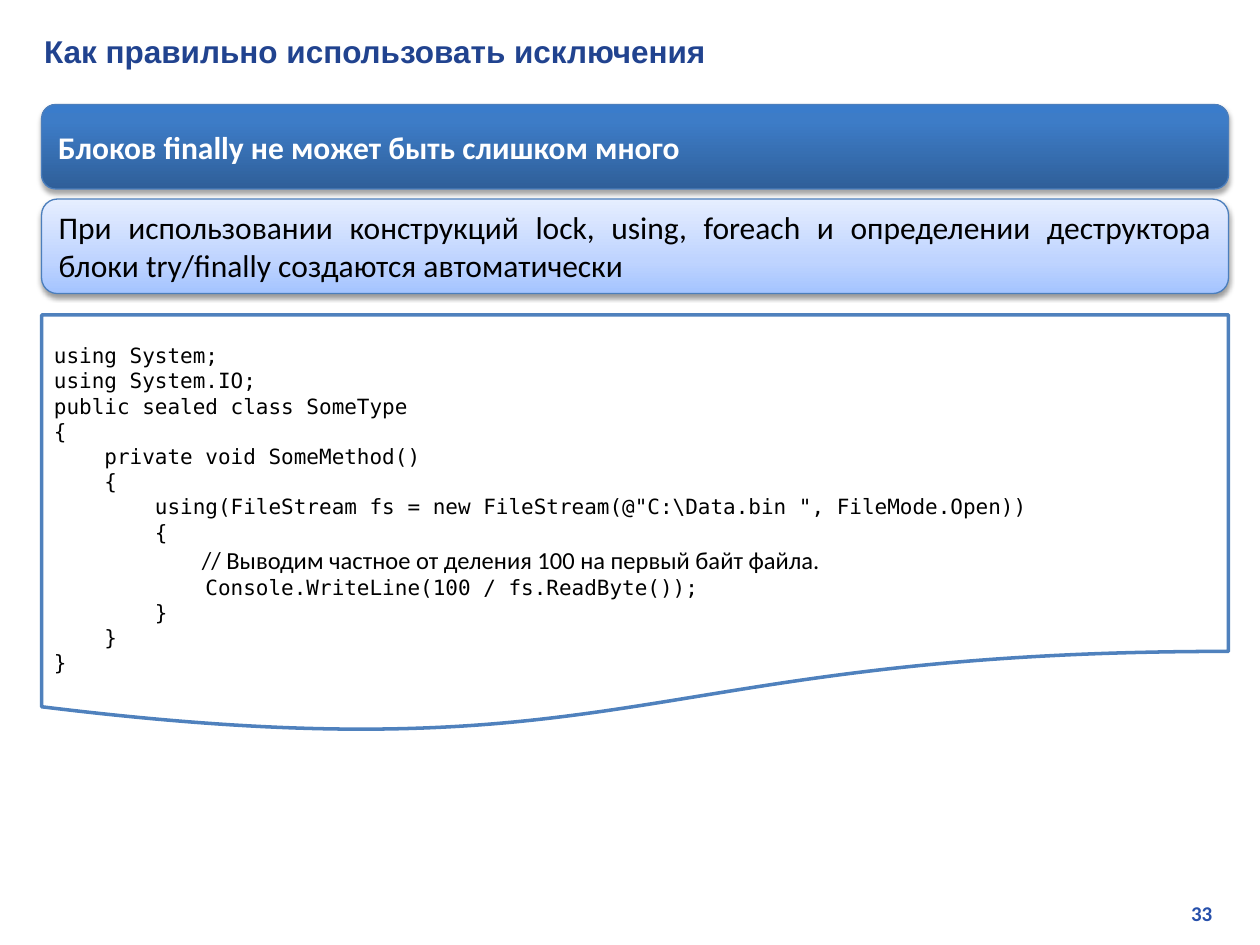
from lxml import etree
from pptx import Presentation
from pptx.dml.color import RGBColor
from pptx.enum import shapes, text
from pptx.oxml import parse_xml
from pptx.oxml.ns import nsdecls, qn
from pptx.util import Inches, Pt

TITLE_BLUE = RGBColor(0x21, 0x43, 0x8F)
NUMBER_BLUE = RGBColor(0x27, 0x50, 0xAB)
BANNER_LINE = RGBColor(0x4B, 0x7E, 0xBC)
CODE_LINE = RGBColor(0x4F, 0x81, 0xBD)
WHITE = RGBColor(0xFF, 0xFF, 0xFF)
BLACK = RGBColor(0, 0, 0)
DARK_STOPS = [
    (0, RGBColor(0x2F, 0x5F, 0x99)),
    (80, RGBColor(0x3D, 0x7C, 0xC7)),
    (100, RGBColor(0x3A, 0x7C, 0xCB)),
]
LIGHT_STOPS = [
    (0, RGBColor(0xA4, 0xC4, 0xFF)),
    (35, RGBColor(0xBF, 0xD4, 0xFF)),
    (100, RGBColor(0xE6, 0xEE, 0xFF)),
]

LEFT, WIDTH = 0.33, 9.42
MONO = "DejaVu Sans Mono"
COMMENT_INDENT = " " * 10
COMMENT = "// Выводим частное от деления 100 на первый байт файла."
CODE_BEFORE = r"""using System;
using System.IO;
public sealed class SomeType
{
    private void SomeMethod()
    {
        using(FileStream fs = new FileStream(@"C:\Data.bin ", FileMode.Open))
        {"""
CODE_AFTER = """            Console.WriteLine(100 / fs.ReadByte());
        }
    }
}"""


class SlideBuilder:
    """Hold the text styles and the current slide, and add its elements."""

    def __init__(self, slide):
        self.slide = slide
        self.styles = {
            "title": {"name": "Arial", "size": Pt(18), "bold": True, "color": TITLE_BLUE},
            "banner": {"name": "Calibri", "size": Pt(18), "bold": True, "color": WHITE},
            "body": {"name": "Calibri", "size": Pt(18), "bold": False, "color": BLACK},
            "code": {"name": MONO, "size": Pt(12), "color": BLACK},
            "indent": {"name": MONO, "size": Pt(14), "color": BLACK},
            "comment": {"name": "Calibri", "size": Pt(14), "color": BLACK},
            "number": {"name": "Calibri", "size": Pt(12), "bold": True, "color": NUMBER_BLUE},
        }

    def add_run(self, paragraph, content, style):
        run = paragraph.add_run()
        run.text = content
        for key, value in self.styles[style].items():
            if key == "color":
                run.font.color.rgb = value
            else:
                setattr(run.font, key, value)

    def set_text(self, shape, content, style, alignment=text.PP_ALIGN.LEFT):
        frame = shape.text_frame
        frame.word_wrap = True
        frame.vertical_anchor = text.MSO_ANCHOR.MIDDLE
        paragraph = frame.paragraphs[0]
        paragraph.alignment = alignment
        self.add_run(paragraph, content, style)

    def title(self, content, left, top, width, height):
        shape = self.slide.shapes.title
        box = {"left": left, "top": top, "width": width, "height": height}
        for key, value in box.items():
            setattr(shape, key, Inches(value))
        self.set_text(shape, content, "title")

    def label(self, content, style, alignment, *box):
        shape = self.slide.shapes.add_textbox(*map(Inches, box))
        self.set_text(shape, content, style, alignment)

    def outlined(self, kind, top, height, color, weight):
        shape = self.slide.shapes.add_shape(
            kind, Inches(LEFT), Inches(top), Inches(WIDTH), Inches(height))
        shape.shadow.inherit = False
        shape.line.color.rgb = color
        shape.line.width = Pt(weight)
        return shape

    def banner(self, content, style, alignment, top, height, stops, shadow):
        shape = self.outlined(
            shapes.MSO_SHAPE.ROUNDED_RECTANGLE, top, height, BANNER_LINE, 0.75)
        stop_xml = "".join(
            f'<a:gs pos="{position * 1000}"><a:srgbClr val="{color}"/></a:gs>'
            for position, color in stops)
        properties = shape.element.spPr
        properties.find(qn("a:prstGeom")).addnext(parse_xml(
            f'<a:gradFill {nsdecls("a")} rotWithShape="1"><a:gsLst>{stop_xml}</a:gsLst>'
            '<a:lin ang="16200000" scaled="0"/></a:gradFill>'))
        alpha, distance = shadow
        outer = etree.SubElement(
            properties.find(qn("a:effectLst")), qn("a:outerShdw"),
            blurRad=str(int(Pt(3.1))), dist=str(int(Pt(distance))),
            dir="5400000", rotWithShape="0")
        color = etree.SubElement(outer, qn("a:srgbClr"), val=str(BLACK))
        etree.SubElement(color, qn("a:alpha"), val=str(alpha * 1000))
        self.set_text(shape, content, style, alignment)

    def code(self, lines, top, height):
        shape = self.outlined(
            shapes.MSO_SHAPE.FLOWCHART_DOCUMENT, top, height, CODE_LINE, 2)
        shape.fill.solid()
        shape.fill.fore_color.rgb = WHITE
        frame = shape.text_frame
        frame.word_wrap = True
        frame.vertical_anchor = text.MSO_ANCHOR.TOP
        frame.margin_top = Inches(0.22)
        for index, runs in enumerate(lines):
            paragraph = frame.add_paragraph() if index else frame.paragraphs[0]
            paragraph.alignment = text.PP_ALIGN.LEFT
            paragraph.line_spacing = Pt(14.4 if len(runs) == 1 else 17)
            for content, style in runs:
                self.add_run(paragraph, content, style)


def main():
    """Build the slide and save it."""
    presentation = Presentation()
    presentation.slide_width, presentation.slide_height = Inches(10), Inches(7.5)
    builder = SlideBuilder(presentation.slides.add_slide(presentation.slide_layouts[5]))
    align = text.PP_ALIGN
    builder.label("33", "number", align.RIGHT, 7.6, 7.1, 2.12, 0.3)
    builder.title("Как правильно использовать исключения", 0.25, 0.2, 9.54, 0.4)
    builder.banner("Блоков finally не может быть слишком много", "banner",
                   align.LEFT, 0.83, 0.67, DARK_STOPS, (35, 1.8))
    builder.banner("При использовании конструкций lock, using, foreach и определении "
                   "деструктора блоки try/finally создаются автоматически", "body",
                   align.JUSTIFY, 1.58, 0.75, LIGHT_STOPS, (38, 1.6))
    before, after = ([[(line, "code")] for line in block.splitlines()]
                     for block in (CODE_BEFORE, CODE_AFTER))
    comment = [(COMMENT_INDENT, "indent"), (COMMENT, "comment")]
    builder.code([*before, comment, *after], 2.5, 3.33)
    presentation.save("out.pptx")


if __name__ == "__main__":
    main()
